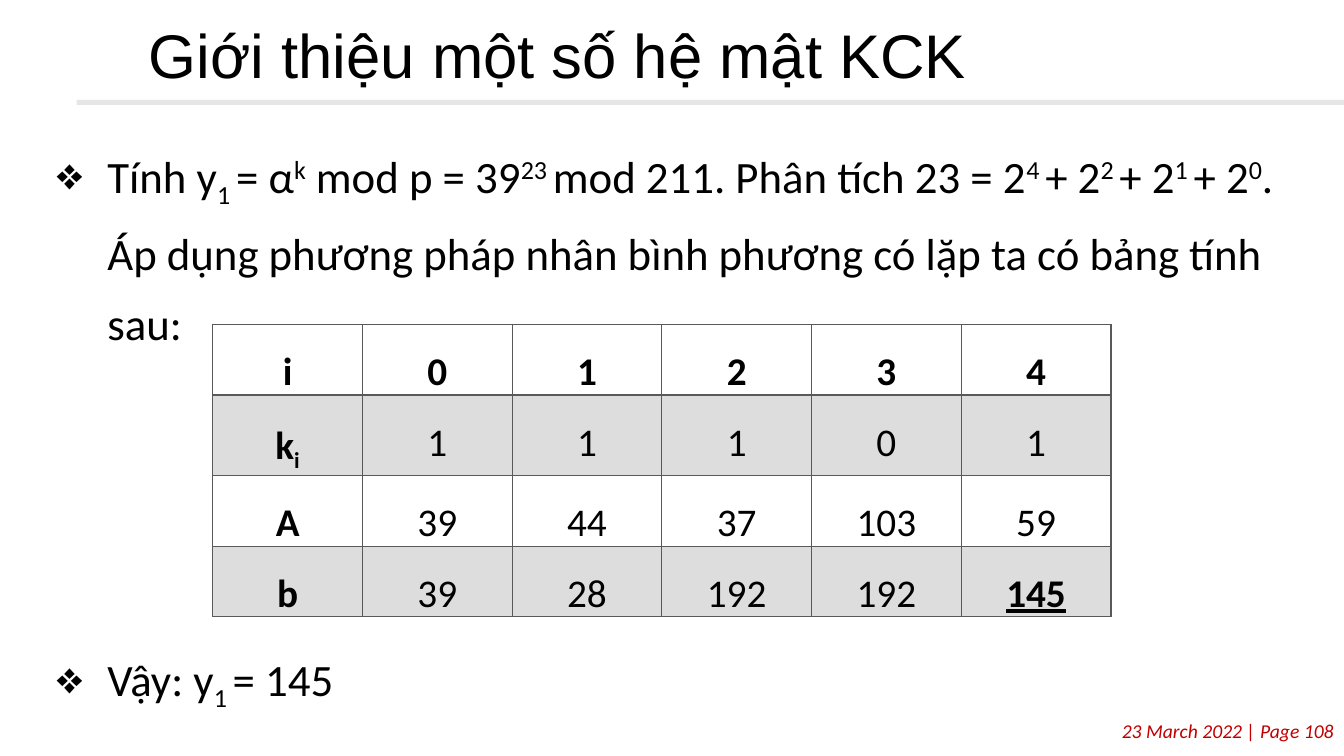
from lxml import etree
from pptx import Presentation
from pptx.dml.color import RGBColor
from pptx.enum.shapes import MSO_SHAPE
from pptx.enum.text import MSO_ANCHOR, PP_ALIGN
from pptx.oxml.ns import qn
from pptx.util import Inches, Pt

BLACK = RGBColor(0x00, 0x00, 0x00)
RED = RGBColor(0xC0, 0x00, 0x00)
PALE_GRAY = RGBColor(0xE7, 0xE6, 0xE6)
DARK_GRAY = RGBColor(0x59, 0x59, 0x59)
LEFT, CENTER, RIGHT = PP_ALIGN.LEFT, PP_ALIGN.CENTER, PP_ALIGN.RIGHT
TOP, MIDDLE = MSO_ANCHOR.TOP, MSO_ANCHOR.MIDDLE
RECTANGLE = MSO_SHAPE.RECTANGLE
SUB, SUPER = -25000, 30000
TITLE_ONLY = 5

# Runs are (text, baseline shift)
CALCULATION = [
    ("Tính y", 0), ("1 ", SUB), ("= α", 0), ("k", SUPER), (" mod p = 39", 0),
    ("23 ", SUPER), ("mod 211. Phân tích 23 = 2", 0), ("4 ", SUPER),
    ("+ 2", 0), ("2 ", SUPER), ("+ 2", 0), ("1 ", SUPER), ("+ 2", 0), ("0", SUPER),
    (". Áp dụng phương pháp nhân bình phương có lặp ta có bảng tính sau:", 0),
]
RESULT = [("Vậy: y", 0), ("1 ", SUB), ("= 145", 0)]
STEPS = [
    ["i", "0", "1", "2", "3", "4"],
    ["k", "1", "1", "1", "0", "1"],
    ["A", "39", "44", "37", "103", "59"],
    ["b", "39", "28", "192", "192", "145"],
]


class SlideBuilder:
    """Draws on one slide; places and sizes are percentages of its width and height."""

    body_font = "Calibri"
    title_font = "Arial"

    def __init__(self, deck):
        self.deck = deck
        self.page = deck.slides.add_slide(deck.slide_layouts[TITLE_ONLY])

    def across(self, percent):
        return round(self.deck.slide_width * percent / 100)

    def down(self, percent):
        return round(self.deck.slide_height * percent / 100)

    def place(self, left, top, width, height):
        return self.across(left), self.down(top), self.across(width), self.down(height)

    def span(self, para, text, size, color=BLACK, font=None, shift=0,
             bold=False, italic=False, underline=False):
        span = para.add_run()
        span.text = text
        style = span.font
        style.name, style.size = font or self.body_font, Pt(size)
        style.bold, style.italic, style.underline = bold, italic, underline
        style.color.rgb = color
        if shift:
            span._r.get_or_add_rPr().set("baseline", str(shift))

    def title(self, text, area):
        box = self.page.shapes.title
        box.left, box.top, box.width, box.height = self.place(*area)
        frame = box.text_frame
        frame.vertical_anchor = MIDDLE
        frame.margin_left = self.across(2)
        para = frame.paragraphs[0]
        para.alignment, para.line_spacing = LEFT, 0.9
        self.span(para, text, 44, font=self.title_font)

    def bar(self, area, color):
        bar = self.page.shapes.add_shape(RECTANGLE, *self.place(*area))
        bar.shadow.inherit = False
        bar.fill.solid()
        bar.fill.fore_color.rgb = color
        bar.line.fill.background()

    def text_box(self, area, margin=0.1):
        frame = self.page.shapes.add_textbox(*self.place(*area)).text_frame
        frame.word_wrap = True
        frame.vertical_anchor = TOP
        frame.margin_top = frame.margin_bottom = Inches(margin)
        return frame

    def bullets(self, items, area, gap):
        frame = self.text_box(area)
        for number, spans in enumerate(items):
            para = frame.add_paragraph() if number else frame.paragraphs[0]
            props = para._p.get_or_add_pPr()
            props.set("marL", str(self.across(5)))
            props.set("indent", str(-self.across(3.75)))
            etree.SubElement(props, qn("a:buChar"), char="❖")
            para.line_spacing = 1.3
            para.space_before = Pt(gap if number else 0)
            for text, shift in spans:
                self.span(para, text, 32, shift=shift)

    def footer(self, text, area):
        para = self.text_box(area, 0.05).paragraphs[0]
        para.alignment = RIGHT
        self.span(para, text, 14, RED, italic=True)

    def border(self, cell, side, width):
        line = etree.SubElement(cell._tc.get_or_add_tcPr(), qn(f"a:ln{side}"),
                                w=str(Pt(width)))
        fill = etree.SubElement(line, qn("a:solidFill"))
        etree.SubElement(fill, qn("a:srgbClr"), val=str(DARK_GRAY))

    def shade(self, cell, shaded):
        if not shaded:
            cell.fill.background()
            return
        cell.fill.solid()
        cell.fill.fore_color.rgb = DARK_GRAY
        color = cell._tc.tcPr.find(f".//{qn('a:solidFill')}[last()]")
        color = cell._tc.tcPr.find(f"{qn('a:solidFill')}/{qn('a:srgbClr')}")
        etree.SubElement(color, qn("a:alpha"), val="20000")

    def table(self, rows, area):
        grid = self.page.shapes.add_table(len(rows), len(rows[0]), *self.place(*area)).table
        grid.first_row = grid.horz_banding = False
        for r, values in enumerate(rows):
            for c, value in enumerate(values):
                cell = grid.cell(r, c)
                cell.margin_left = cell.margin_right = Inches(0.07)
                cell.margin_top = cell.margin_bottom = 0
                for side in "LRTB":
                    under_header = (r, side) in ((0, "B"), (1, "T"))
                    self.border(cell, side, 2 if under_header else 1)
                self.shade(cell, r % 2 == 1)
                para = cell.text_frame.paragraphs[0]
                para.alignment, para.line_spacing = CENTER, 1.5
                answer = value == "145"
                self.span(para, value, 28, bold=r == 0 or c == 0 or answer,
                          underline=answer)
                if value == "k":
                    self.span(para, "i", 28, shift=SUB, bold=True)


def main():
    deck = Presentation()
    deck.slide_width, deck.slide_height = Inches(13.33), Inches(7.5)
    slide = SlideBuilder(deck)

    # Footer and rule under the title
    slide.footer("23 March 2022 | Page 108", (0.38, 94.4, 99.62, 4.53))
    slide.bar((5.7, 13.2, 94.3, 0.67), PALE_GRAY)

    # Title and body; the gap leaves four text lines for the table
    slide.title("Giới thiệu một số hệ mật KCK", (9.08, 2.53, 90.4, 10.4))
    slide.bullets([CALCULATION, RESULT], (2.25, 15.87, 97.22, 78), gap=203)

    # Repeated squaring table
    slide.table(STEPS, (15.83, 42.93, 66.84, 28.27))

    deck.save("out.pptx")


if __name__ == "__main__":
    main()
